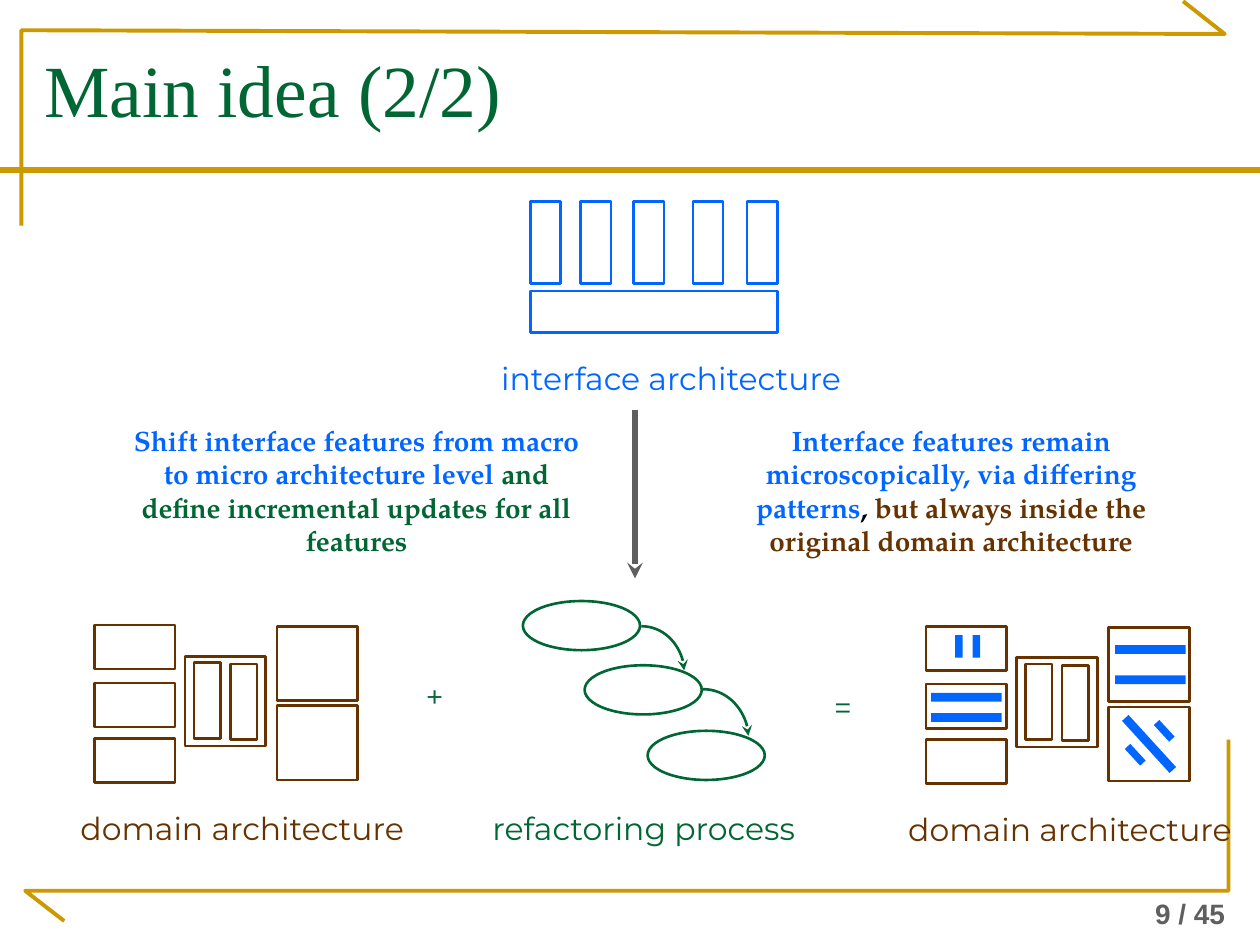
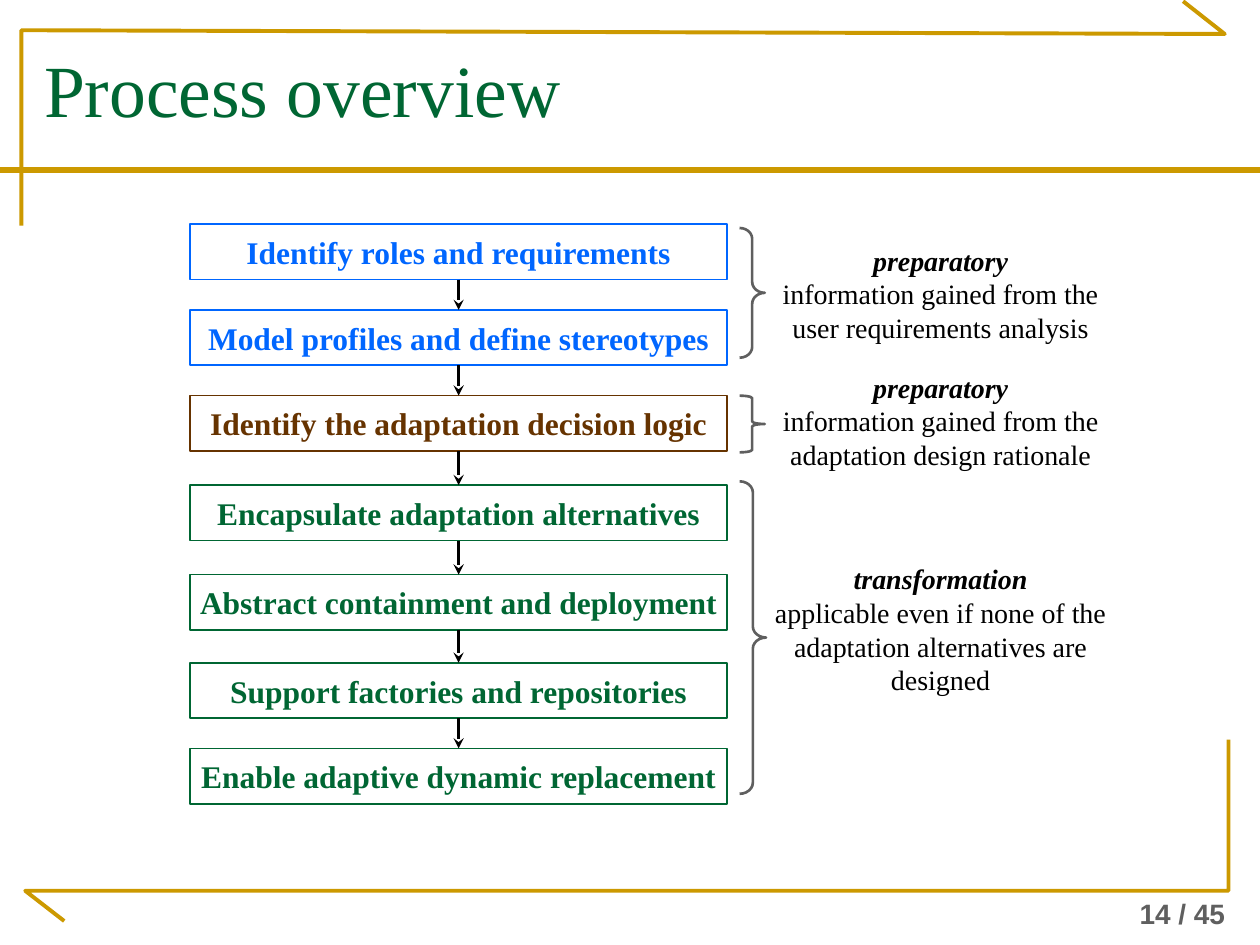
from lxml.etree import SubElement
from pptx import Presentation
from pptx.dml.color import RGBColor
from pptx.enum.shapes import MSO_CONNECTOR, MSO_SHAPE
from pptx.enum.text import MSO_ANCHOR, MSO_AUTO_SIZE, PP_ALIGN
from pptx.oxml.ns import qn
from pptx.util import Inches, Pt

# Shared look
GOLD = RGBColor(0xCC, 0x99, 0x00)
GREEN = RGBColor(0x00, 0x66, 0x33)
BLUE = RGBColor(0x00, 0x66, 0xFF)
BROWN = RGBColor(0x66, 0x33, 0x00)
GRAY = RGBColor(0x5F, 0x5F, 0x5F)
BLACK = RGBColor(0x00, 0x00, 0x00)
WHITE = RGBColor(0xFF, 0xFF, 0xFF)
SERIF, SANS = "Times New Roman", "Arial"
LABEL_FONT, NOTE_FONT = "Montserrat", "TeX Gyre Pagella"

TOP_FRAME = [(0.17, 1.79), (0.17, 0.24), (9.72, 0.27), (9.39, 0.01)]
BOTTOM_FRAME = [(0.51, 7.31), (0.2, 7.07), (9.75, 7.07), (9.75, 5.87)]
PAGE_COUNT = 45


def write_text(shape, paragraphs, size=18, font=SERIF, color=BLACK, bold=False,
               italic=False, align=PP_ALIGN.LEFT, anchor=MSO_ANCHOR.TOP,
               wrap=True, inset=(0.1, 0.05)):
    """Fill a shape; each paragraph is a list of (text, format changes)."""
    frame = shape.text_frame
    frame.auto_size = MSO_AUTO_SIZE.NONE
    frame.word_wrap = wrap
    frame.vertical_anchor = anchor
    frame.margin_left = frame.margin_right = Inches(inset[0])
    frame.margin_top = frame.margin_bottom = Inches(inset[1])
    for index, spans in enumerate(paragraphs):
        para = frame.add_paragraph() if index else frame.paragraphs[0]
        para.alignment = align
        for text, changes in spans:
            span = para.add_run()
            span.text = text
            span.font.name = font
            span.font.size = Pt(size)
            span.font.bold = changes.get("bold", bold)
            span.font.italic = changes.get("italic", italic)
            span.font.color.rgb = changes.get("color", color)


def add_text(page, box, paragraphs, **text_format):
    shape = page.shapes.add_textbox(*map(Inches, box))
    write_text(shape, paragraphs, **text_format)
    return shape


def add_label(page, box, text, color):
    add_text(page, box, [[(text, {})]], font=LABEL_FONT, color=color, wrap=False)


def add_box(page, box, line=None, fill=WHITE, kind=MSO_SHAPE.RECTANGLE,
            width=1.5, rotation=0):
    shape = page.shapes.add_shape(kind, *map(Inches, box))
    shape.shadow.inherit = False
    shape.rotation = rotation
    if fill is None:
        shape.fill.background()
    else:
        shape.fill.solid()
        shape.fill.fore_color.rgb = fill
    if line is None:
        shape.line.fill.background()
    else:
        shape.line.color.rgb = line
        shape.line.width = Pt(width)
    return shape


def add_line(page, start, end, color, width, arrow=True, curved=False):
    kind = MSO_CONNECTOR.CURVE if curved else MSO_CONNECTOR.STRAIGHT
    line = page.shapes.add_connector(kind, *map(Inches, start + end))
    line.line.color.rgb = color
    line.line.width = Pt(width)
    properties = line._element.spPr
    if curved:
        properties.find(qn("a:prstGeom")).set("prst", "curvedConnector2")
    if arrow:
        SubElement(properties.find(qn("a:ln")), qn("a:tailEnd"), type="stealth")
    SubElement(properties, qn("a:effectLst"))
    return line


def add_outline(page, points):
    corners = [(Inches(x), Inches(y)) for x, y in points]
    builder = page.shapes.build_freeform(*corners[0])
    builder.add_line_segments(corners[1:], close=False)
    outline = builder.convert_to_shape()
    outline.shadow.inherit = False
    outline.fill.background()
    outline.line.color.rgb = GOLD
    outline.line.width = Pt(2.25)


def add_page(deck, title, number):
    """Start a slide with the gold frame, the page number and the title."""
    page = deck.slides.add_slide(deck.slide_layouts[5])
    add_outline(page, TOP_FRAME)
    add_outline(page, BOTTOM_FRAME)
    add_line(page, (0, 1.35), (10, 1.35), GOLD, 3, arrow=False)
    add_text(page, (8.63, 7, 1.19, 0.43), [[(f"{number} / {PAGE_COUNT}", {})]],
             size=16, font=SANS, color=GRAY, bold=True,
             align=PP_ALIGN.RIGHT, anchor=MSO_ANCHOR.BOTTOM)
    heading = page.shapes.title
    heading.left, heading.top = Inches(0.25), Inches(0.3)
    heading.width, heading.height = Inches(9.42), Inches(1.07)
    write_text(heading, [[(title, {})]], size=42, color=GREEN)
    return page


def add_interface(page, left, top):
    # Five columns on one base
    for offset in (0, 0.4, 0.82, 1.29, 1.72):
        add_box(page, (left + offset, top, 0.24, 0.65), BLUE)
    add_box(page, (left, top + 0.71, 1.96, 0.33), BLUE)
    add_label(page, (left - 0.33, top + 1.2, 2.64, 0.23),
              "interface architecture", BLUE)


def add_domain(page, left, top, label_shift):
    # Three small modules, a pair in a container, two large modules
    modules = [(0, y, 0.64, 0.35) for y in (0, 0.46, 0.9)]
    modules += [(0.72, 0.25, 0.64, 0.71),
                (1.45, 0.64, 0.64, 0.59), (1.45, 0.01, 0.64, 0.59),
                (0.79, 0.3, 0.21, 0.6), (1.08, 0.31, 0.21, 0.6)]
    for x, y, width, height in modules:
        add_box(page, (left + x, top + y, width, height), BROWN)
    add_label(page, (left + label_shift, top + 1.41, 2.59, 0.23),
              "domain architecture", BROWN)


def add_features(page, left, top):
    # Blue interface features placed inside the domain modules
    short, long = (0.06, 0.18), (0.56, 0.07)
    bars = [(0.23, 0.07, short, 0), (0.37, 0.07, short, 0),
            (0.04, 0.53, long, 0), (0.04, 0.69, long, 0),
            (1.5, 0.15, long, 0), (1.5, 0.39, long, 0),
            (1.86, 0.74, short, 317.3), (1.49, 0.9, long, 47.6),
            (1.63, 0.93, short, 317.3)]
    for x, y, size, rotation in bars:
        add_box(page, (left + x, top + y, *size), fill=BLUE, rotation=rotation)


def add_refactoring(page, left, top):
    for x, y in ((0, 0), (0.49, 0.51), (0.99, 1.03)):
        add_box(page, (left + x, top + y, 0.93, 0.39), GREEN, kind=MSO_SHAPE.OVAL)
    for x, y, width, height in ((0.94, 0.2, 0.34, 0.35), (1.43, 0.7, 0.36, 0.37)):
        start = (left + x, top + y)
        end = (start[0] + width, start[1] + height)
        add_line(page, start, end, GREEN, 1.5, curved=True)
    add_label(page, (left - 0.34, top + 1.6, 2.64, 0.3), "refactoring process", GREEN)


def build_idea_page(deck):
    page = add_page(deck, "Main idea (2/2)", 9)
    add_interface(page, 4.21, 1.6)
    add_domain(page, 0.75, 4.96, -0.21)
    add_label(page, (3.28, 5.32, 0.47, 0.49), "+", GREEN)
    add_refactoring(page, 4.15, 4.77)
    add_label(page, (6.52, 5.41, 0.47, 0.36), "=", GREEN)
    add_domain(page, 7.35, 4.97, -0.24)
    add_features(page, 7.35, 4.97)
    add_line(page, (5.04, 3.25), (5.04, 4.59), GRAY, 3)

    # Notes on both sides of the arrow
    note_format = dict(size=16, font=NOTE_FONT, color=BLUE, bold=True,
                       align=PP_ALIGN.CENTER)
    add_text(page, (0.93, 3.31, 3.8, 1.17), [[
        ("Shift interface features from macro to micro architecture level ", {}),
        ("and define incremental updates for all features", {"color": GREEN}),
    ]], **note_format)
    add_text(page, (5.57, 3.31, 3.96, 1.17), [[
        ("Interface features remain microscopically, via differing patterns", {}),
        (", ", {"color": BLACK}),
        ("but always inside the original domain architecture", {"color": BROWN}),
    ]], **note_format)


def add_steps(page, left, steps):
    boxes = []
    for top, text, color in steps:
        step = add_box(page, (left, top, 4.26, 0.44), color, width=1)
        write_text(step, [[(text, {})]], color=color, bold=True, wrap=False,
                   align=PP_ALIGN.CENTER, anchor=MSO_ANCHOR.MIDDLE)
        boxes.append(step)
    for upper, lower in zip(boxes, boxes[1:]):
        arrow = add_line(page, (0, 0), (1, 1), BLACK, 1.5)
        arrow.begin_connect(upper, 2)
        arrow.end_connect(lower, 0)


def add_phase(page, brace_box, curve, note_box, name, text):
    brace = add_box(page, brace_box, GRAY, fill=None, kind=MSO_SHAPE.RIGHT_BRACE)
    brace.adjustments[0] = curve
    add_text(page, note_box,
             [[(name, {"bold": True, "italic": True})], [(text, {})]],
             size=16, align=PP_ALIGN.CENTER, inset=(0, 0))


def build_process_page(deck):
    page = add_page(deck, "Process overview", 14)
    add_steps(page, 1.51, [
        (1.78, "Identify roles and requirements", BLUE),
        (2.46, "Model profiles and define stereotypes", BLUE),
        (3.14, "Identify the adaptation decision logic", BROWN),
        (3.85, "Encapsulate adaptation alternatives", GREEN),
        (4.56, "Abstract containment and deployment", GREEN),
        (5.26, "Support factories and repositories", GREEN),
        (5.94, "Enable adaptive dynamic replacement", GREEN),
    ])
    add_phase(page, (5.87, 1.81, 0.2, 1.03), 0.43, (6.06, 1.93, 2.81, 0.8),
              "preparatory", "information gained from the user requirements analysis")
    add_phase(page, (5.87, 3.14, 0.2, 0.45), 0.1, (6.19, 2.94, 2.55, 0.8),
              "preparatory", "information gained from the adaptation design rationale")
    add_phase(page, (5.87, 3.82, 0.21, 2.48), 0.42, (6.11, 4.46, 2.71, 1.07),
              "transformation",
              "applicable even if none of the adaptation alternatives are designed")


def main():
    deck = Presentation()
    deck.slide_width, deck.slide_height = Inches(10), Inches(7.5)
    build_idea_page(deck)
    build_process_page(deck)
    deck.save("out.pptx")


if __name__ == "__main__":
    main()
